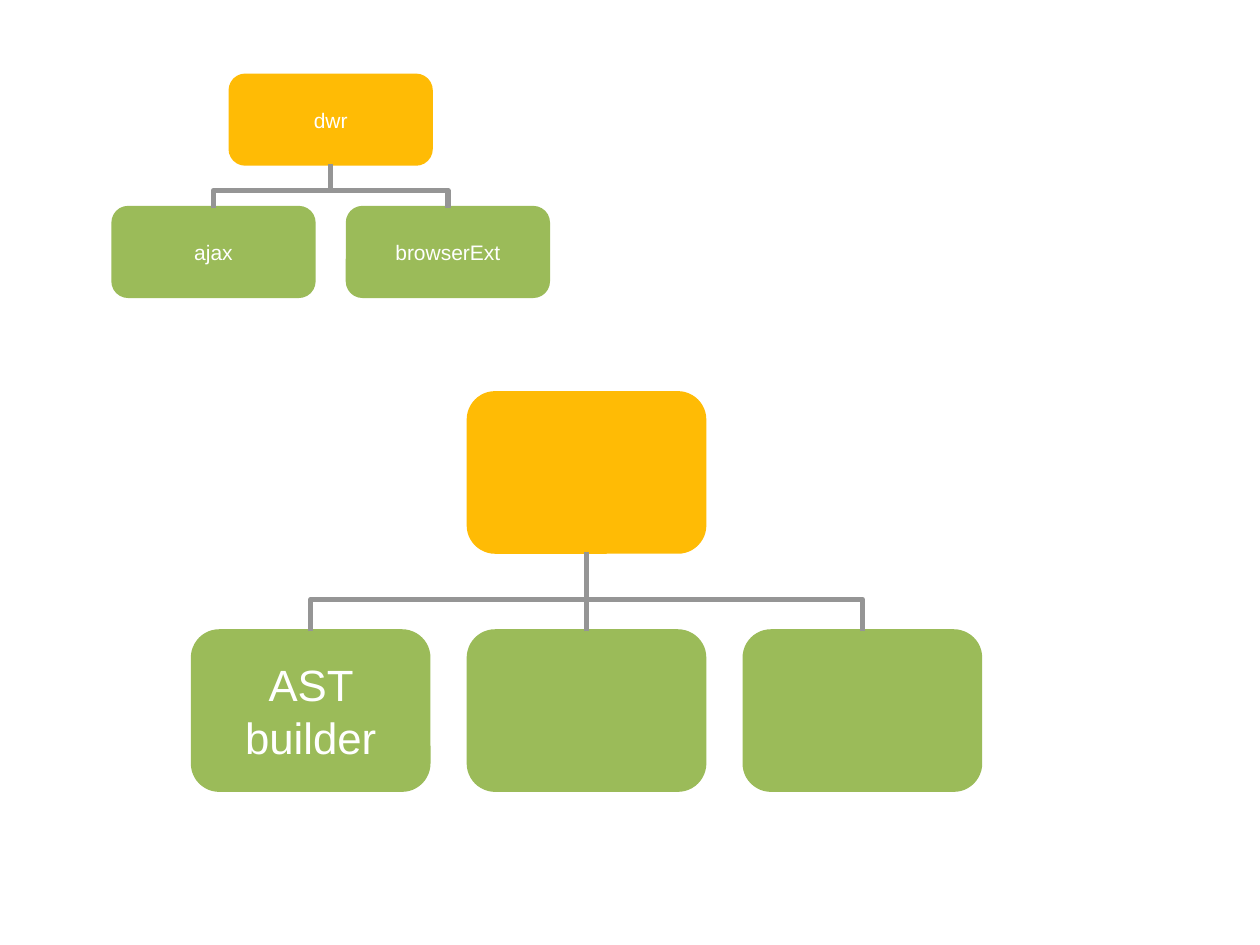
from dataclasses import dataclass

from lxml import etree
from pptx import Presentation
from pptx.dml.color import RGBColor
from pptx.enum.shapes import MSO_CONNECTOR, MSO_SHAPE
from pptx.enum.text import MSO_ANCHOR, PP_ALIGN
from pptx.oxml.ns import qn
from pptx.util import Inches, Pt

ROUND = MSO_SHAPE.ROUNDED_RECTANGLE
ELBOW, STRAIGHT = MSO_CONNECTOR.ELBOW, MSO_CONNECTOR.STRAIGHT
MIDDLE, CENTER = MSO_ANCHOR.MIDDLE, PP_ALIGN.CENTER
TOP, BOTTOM = 0, 2


@dataclass(frozen=True)
class Theme:
    root: RGBColor = RGBColor(0xFF, 0xBB, 0x05)
    leaf: RGBColor = RGBColor(0x9B, 0xBB, 0x59)
    link: RGBColor = RGBColor(0x95, 0x95, 0x95)
    text: RGBColor = RGBColor(0xFF, 0xFF, 0xFF)
    font: str = "Arial"
    small: int = 12
    large: int = 25
    edge: float = 2.25
    wire: int = 3
    corner: float = 0.167
    bend: float = 0.4   # turn of an elbow, as a share of the drop
    gap: float = 0.17   # space between leaves, as a share of their width
    drop: float = 0.5   # space between levels, as a share of node height


THEME = Theme()


def add_node(group, box, color, label, size):
    node = group.shapes.add_shape(ROUND, *(Inches(v) for v in box))
    node.shadow.inherit = False
    node.adjustments[0] = THEME.corner
    node.fill.solid()
    node.fill.fore_color.rgb = color
    node.line.color.rgb = color
    node.line.width = Pt(THEME.edge)
    if label:
        frame = node.text_frame
        frame.word_wrap = True
        frame.vertical_anchor = MIDDLE
        para = frame.paragraphs[0]
        para.alignment = CENTER
        run = para.add_run()
        run.text = label
        run.font.name = THEME.font
        run.font.size = Pt(size)
        run.font.color.rgb = THEME.text
    return node


def add_wire(group, kind, start, end):
    wire = group.shapes.add_connector(
        kind, *(Inches(v) for v in (*start, *end)))
    wire.line.color.rgb = THEME.link
    wire.line.width = Pt(THEME.wire)
    etree.SubElement(wire._element.spPr, qn("a:effectLst"))
    return wire


def add_elbow(group, start, end):
    """Link a leaf's top to the root's bottom, leaving the leaf upwards."""
    (x1, y1), (x2, y2) = start, end
    mid_x, mid_y = (x1 + x2) / 2, (y1 + y2) / 2
    # The preset runs sideways first, so its box is laid down and then turned.
    half_w, half_h = (y1 - y2) / 2, abs(x2 - x1) / 2
    side = 1 if x1 < x2 else -1
    wire = add_wire(group, ELBOW,
                    (mid_x + side * half_w, mid_y + half_h),
                    (mid_x - side * half_w, mid_y - half_h))
    props = wire._element.spPr
    turn = 90 if side == 1 else 270
    props.find(qn("a:xfrm")).set("rot", str(turn * 60000))
    guides = props.find(qn("a:prstGeom")).find(qn("a:avLst"))
    etree.SubElement(guides, qn("a:gd"), name="adj1",
                     fmla=f"val {round(THEME.bend * 100000)}")


def add_tree(slide, box, root, leaves, size):
    left, top, width, height = box
    count = len(leaves)
    node_w = width / (count + (count - 1) * THEME.gap)
    node_h = height / (2 + THEME.drop)
    step = node_w * (1 + THEME.gap)
    mid = left + width / 2
    low = top + height - node_h
    group = slide.shapes.add_group_shape()
    head = add_node(group, (mid - node_w / 2, top, node_w, node_h),
                    THEME.root, root, size)
    for i, label in enumerate(leaves):
        x = left + i * step
        leaf = add_node(group, (x, low, node_w, node_h),
                        THEME.leaf, label, size)
        start, end = (x + node_w / 2, low), (mid, top + node_h)
        if 2 * i == count - 1:
            wire = add_wire(group, STRAIGHT, start, end)
            wire.begin_connect(leaf, TOP)
            wire.end_connect(head, BOTTOM)
        else:
            add_elbow(group, start, end)


def main():
    deck = Presentation()
    deck.slide_width, deck.slide_height = Inches(10), Inches(7.5)
    slide = deck.slides.add_slide(deck.slide_layouts[6])
    add_tree(slide, (0.9, 0.6, 3.45, 1.75), "dwr",
             ["ajax", "browserExt"], THEME.small)
    add_tree(slide, (1.53, 3.12, 6.25, 3.15), "",
             ["AST builder", "", ""], THEME.large)
    deck.save("out.pptx")


if __name__ == "__main__":
    main()
